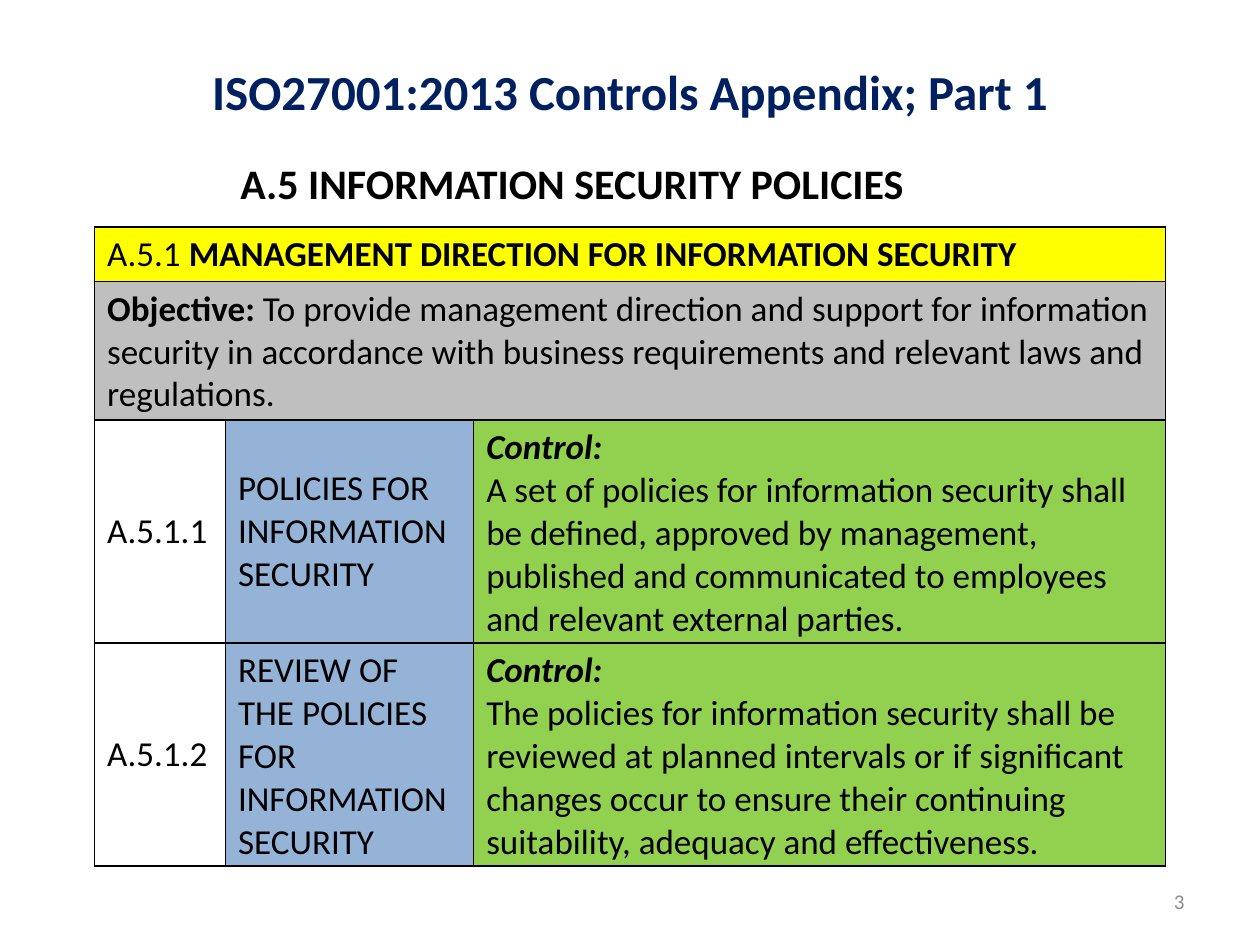
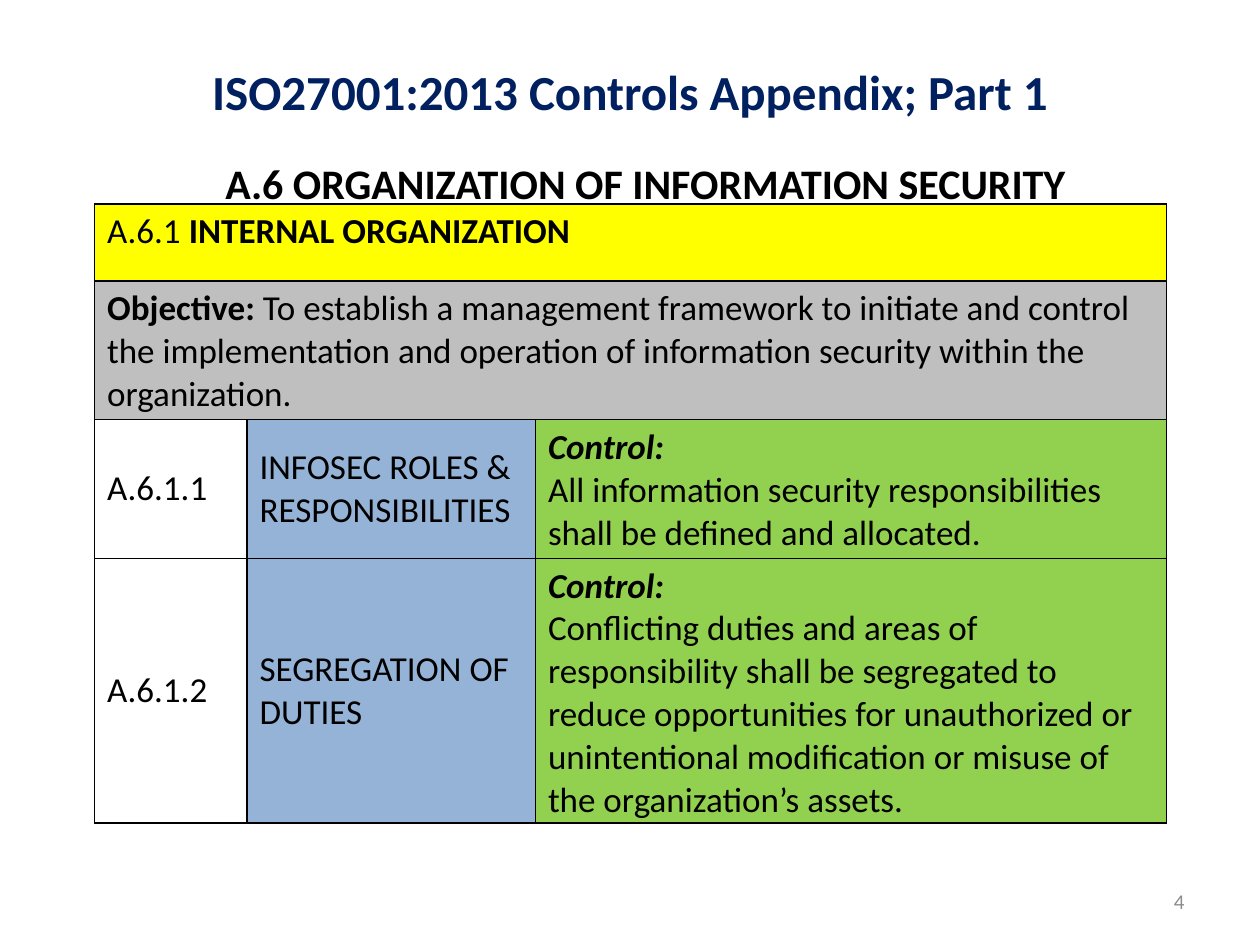
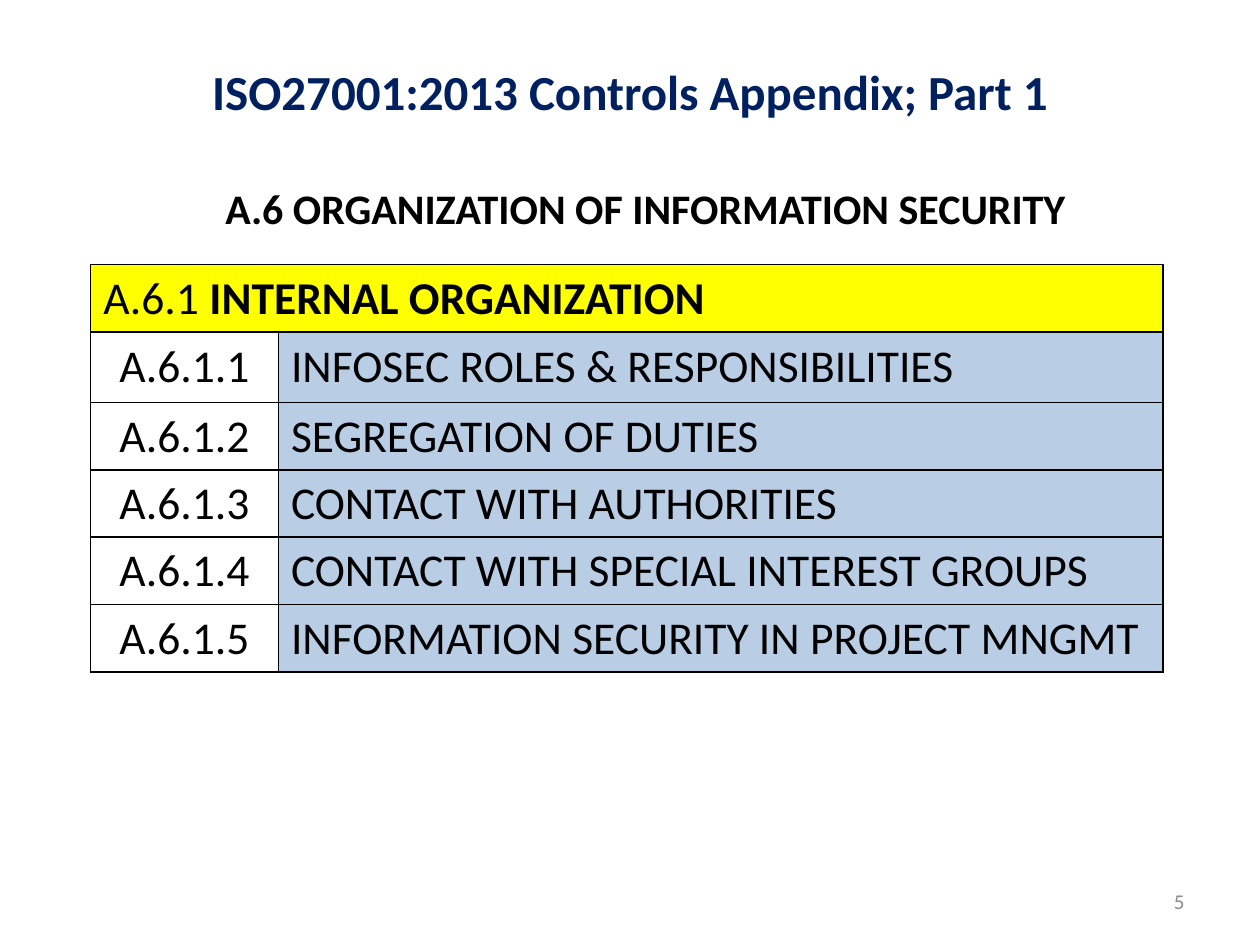
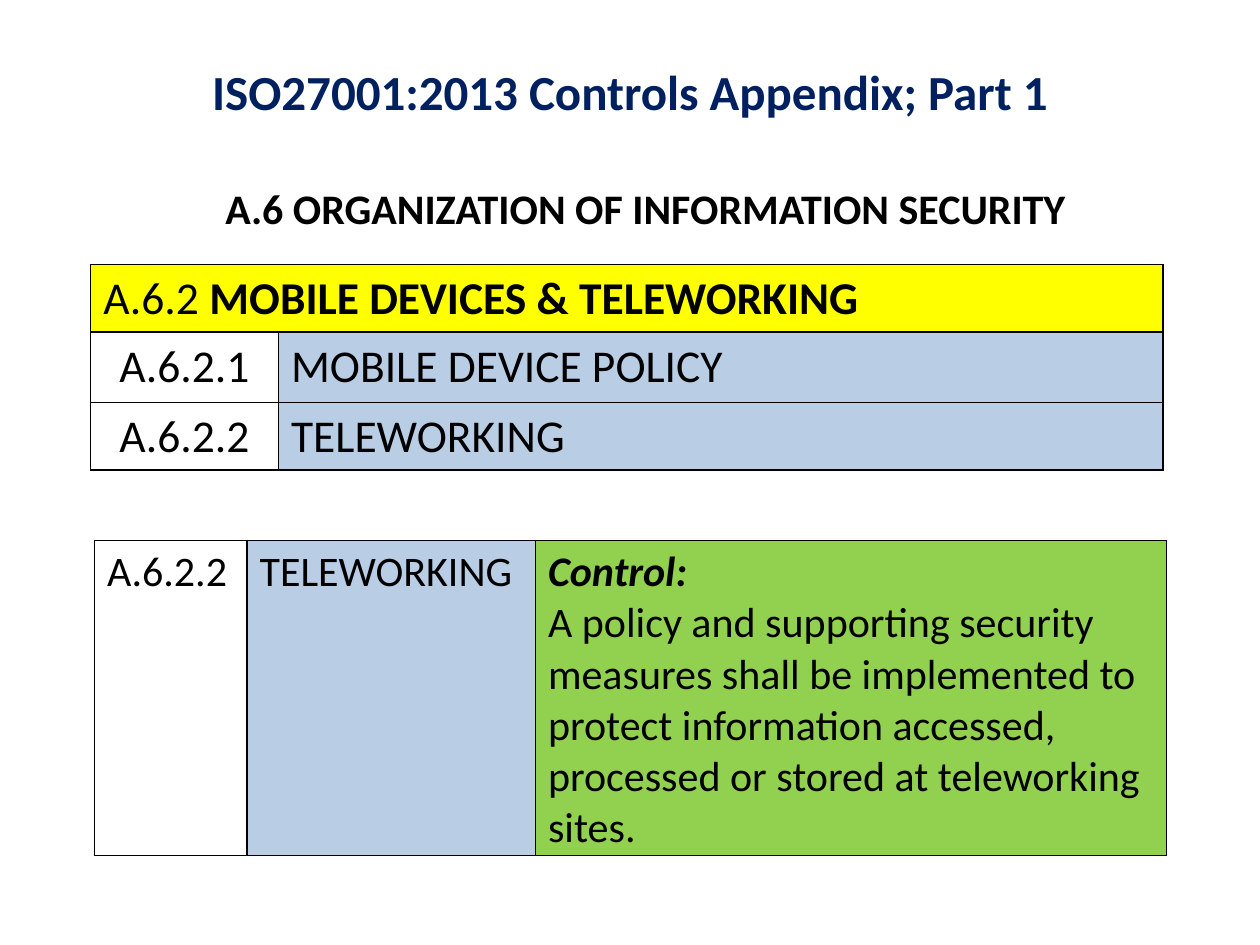
from dataclasses import dataclass
from typing import Optional

import pptx
import pptx.dml.color
import pptx.enum.text
import pptx.oxml
import pptx.oxml.ns
import pptx.util

RGBColor = pptx.dml.color.RGBColor
Align = pptx.enum.text.PP_ALIGN
Anchor = pptx.enum.text.MSO_ANCHOR

# Shared look
FONT = "Calibri"
NAVY = RGBColor(0x00, 0x20, 0x60)
BLACK = RGBColor(0x00, 0x00, 0x00)
PAGE_GRAY = RGBColor(0x8C, 0x8C, 0x8C)
YELLOW = RGBColor(0xFF, 0xFF, 0x00)
SILVER = RGBColor(0xBF, 0xBF, 0xBF)
BLUE = RGBColor(0x95, 0xB3, 0xD7)
PALE_BLUE = RGBColor(0xB9, 0xCD, 0xE5)
GREEN = RGBColor(0x92, 0xD0, 0x50)
BORDER_PT = 1
DECK_TITLE = "ISO27001:2013 Controls Appendix; Part 1"

# The slide is a grid of 100 columns by 75 rows of square units
WIDTH, HEIGHT = pptx.util.Inches(10), pptx.util.Inches(7.5)
UNIT = WIDTH / 100
TITLE_BOX = (5, 2.3, 90, 9.8)
PAGE_BOX = (71.7, 69.5, 23.3, 4)
CONTROL_COLS = (12.1, 22.9, 50.1)
INDEX_COLS = (14.9, 70.2)


@dataclass
class Span:
    text: str
    bold: bool = False
    italic: bool = False


@dataclass
class Cell:
    paragraphs: list[list[Span]]
    fill: Optional[RGBColor] = None
    align: Align = Align.LEFT
    anchor: Anchor = Anchor.MIDDLE


@dataclass
class Grid:
    """A table; a row of one cell spans all columns."""
    left: float
    top: float
    cols: tuple[float, ...]
    heights: list[float]
    rows: list[list[Cell]]
    size: int


@dataclass
class Page:
    section: str
    section_box: tuple[float, float, float, float]
    grids: list[Grid]
    number: Optional[int] = None


def units(*values: float) -> list[pptx.util.Emu]:
    return [pptx.util.Emu(round(v * UNIT)) for v in values]


def add_text(p, text: str, size: float, color: RGBColor = BLACK,
             bold: bool = False, italic: bool = False) -> None:
    r = p.add_run()
    r.text = text
    r.font.name, r.font.size = FONT, pptx.util.Pt(size)
    r.font.bold, r.font.italic = bold, italic
    r.font.color.rgb = color


# Kinds of table cell and row
def plain(text: str, **options) -> Cell:
    return Cell([[Span(text)]], **options)


def heading(number: str, name: str) -> list[Cell]:
    spans = [Span(f"{number} "), Span(name, bold=True)]
    return [Cell([spans], YELLOW, anchor=Anchor.TOP)]


def objective(text: str) -> list[Cell]:
    spans = [Span("Objective: ", bold=True), Span(text)]
    return [Cell([spans], SILVER, anchor=Anchor.TOP)]


def control(number: str, name: str, *texts: str, fill: RGBColor = BLUE,
            anchor: Anchor = Anchor.MIDDLE) -> list[Cell]:
    lines = [[Span("Control:", bold=True, italic=True)]]
    lines += [[Span(t)] for t in texts]
    return [plain(number, anchor=anchor), plain(name, fill=fill, anchor=anchor),
            Cell(lines, GREEN, anchor=anchor)]


def index_grid(number: str, name: str, items: list[str]) -> Grid:
    rows = [heading(number, name)]
    rows += [[plain(f"{number}.{i}", align=Align.CENTER), plain(item, fill=PALE_BLUE)]
             for i, item in enumerate(items, 1)]
    heights = [5.35, 5.6] + [5.35] * (len(items) - 1)
    return Grid(7.2, 21, INDEX_COLS, heights, rows, 26)


# Drawing
def set_borders(cell) -> None:
    tc_pr = cell._tc.get_or_add_tcPr()
    for i, side in enumerate(("lnL", "lnR", "lnT", "lnB")):
        tc_pr.insert(i, pptx.oxml.parse_xml(
            f'<a:{side} {pptx.oxml.ns.nsdecls("a")} w="{pptx.util.Pt(BORDER_PT)}">'
            f'<a:solidFill><a:srgbClr val="{BLACK}"/></a:solidFill></a:{side}>'))


def fill_cell(cell, content: Cell, size: int) -> None:
    cell.vertical_anchor = content.anchor
    if content.fill is not None:
        cell.fill.solid()
        cell.fill.fore_color.rgb = content.fill
    else:
        cell.fill.background()
    tf = cell.text_frame
    for i, spans in enumerate(content.paragraphs):
        p = tf.add_paragraph() if i else tf.paragraphs[0]
        p.alignment = content.align
        for span in spans:
            add_text(p, span.text, size, bold=span.bold, italic=span.italic)


def add_grid(s, grid: Grid) -> None:
    box = units(grid.left, grid.top, sum(grid.cols), sum(grid.heights))
    table = s.shapes.add_table(len(grid.rows), len(grid.cols), *box).table
    table.first_row = table.horz_banding = False
    for column, width in zip(table.columns, units(*grid.cols)):
        column.width = width
    for row, height in zip(table.rows, units(*grid.heights)):
        row.height = height
    for r, contents in enumerate(grid.rows):
        if len(contents) == 1:
            table.cell(r, 0).merge(table.cell(r, len(grid.cols) - 1))
        for c, content in enumerate(contents):
            fill_cell(table.cell(r, c), content, grid.size)
    for cell in table.iter_cells():
        set_borders(cell)


def add_title(s) -> None:
    sp = s.shapes.title
    sp.left, sp.top, sp.width, sp.height = units(*TITLE_BOX)
    sp.text_frame.vertical_anchor = Anchor.MIDDLE
    p = sp.text_frame.paragraphs[0]
    p.alignment = Align.CENTER
    add_text(p, DECK_TITLE, 28, NAVY, bold=True)


def add_section(s, page: Page) -> None:
    tf = s.shapes.add_textbox(*units(*page.section_box)).text_frame
    tf.word_wrap = False
    tf.auto_size = pptx.enum.text.MSO_AUTO_SIZE.SHAPE_TO_FIT_TEXT
    add_text(tf.paragraphs[0], page.section, 24, bold=True)


def add_page_number(s, number: int) -> None:
    tf = s.shapes.add_textbox(*units(*PAGE_BOX)).text_frame
    tf.word_wrap = True
    tf.vertical_anchor = Anchor.MIDDLE
    p = tf.paragraphs[0]
    p.alignment = Align.RIGHT
    add_text(p, str(number), 12, PAGE_GRAY)


# Content
A5 = "A.5 INFORMATION SECURITY POLICIES"
A6 = "A.6 ORGANIZATION OF INFORMATION SECURITY"
A6_BOX = (16.9, 14, 69.3, 5)

PAGES = [
    Page(A5, (18.1, 12, 55.1, 5), [
        Grid(7.5, 18, (10.4, 19.7, 54.9), [4.3, 11, 17.7, 17.7], [
            heading("A.5.1", "MANAGEMENT DIRECTION FOR INFORMATION SECURITY"),
            objective("To provide management direction and support for information "
                      "security in accordance with business requirements and "
                      "relevant laws and regulations."),
            control("A.5.1.1", "POLICIES FOR INFORMATION SECURITY",
                    "A set of policies for information security shall be defined, "
                    "approved by management, published and communicated to "
                    "employees and relevant external parties."),
            control("A.5.1.2", "REVIEW OF THE POLICIES FOR INFORMATION SECURITY",
                    "The policies for information security shall be reviewed at "
                    "planned intervals or if significant changes occur to ensure "
                    "their continuing",
                    "suitability, adequacy and effectiveness."),
        ], 20)], 3),
    Page(A6, (16.9, 12, 69.3, 5), [
        Grid(7.5, 16.2, CONTROL_COLS, [6.1, 11, 11, 21], [
            heading("A.6.1", "INTERNAL ORGANIZATION"),
            objective("To establish a management framework to initiate and control "
                      "the implementation and operation of information security "
                      "within the organization."),
            control("A.6.1.1", "INFOSEC ROLES & RESPONSIBILITIES",
                    "All information security responsibilities shall be defined "
                    "and allocated."),
            control("A.6.1.2", "SEGREGATION OF DUTIES",
                    "Conflicting duties and areas of responsibility shall be "
                    "segregated to reduce opportunities for unauthorized or "
                    "unintentional modification or misuse of the organization’s "
                    "assets."),
        ], 20)], 4),
    Page(A6, A6_BOX, [
        index_grid("A.6.1", "INTERNAL ORGANIZATION", [
            "INFOSEC ROLES & RESPONSIBILITIES",
            "SEGREGATION OF DUTIES",
            "CONTACT WITH AUTHORITIES",
            "CONTACT WITH SPECIAL INTEREST GROUPS",
            "INFORMATION SECURITY IN PROJECT MNGMT",
        ])], 5),
    Page(A6, A6_BOX, [
        index_grid("A.6.2", "MOBILE DEVICES & TELEWORKING",
                   ["MOBILE DEVICE POLICY", "TELEWORKING"]),
        Grid(7.5, 42.9, CONTROL_COLS, [25], [
            control("A.6.2.2", "TELEWORKING",
                    "A policy and supporting security measures shall be implemented "
                    "to protect information accessed, processed or stored at "
                    "teleworking sites.", fill=PALE_BLUE, anchor=Anchor.TOP),
        ], 24)]),
]


def main() -> None:
    prs = pptx.Presentation()
    prs.slide_width, prs.slide_height = WIDTH, HEIGHT
    title_only = prs.slide_layouts[5]
    for page in PAGES:
        s = prs.slides.add_slide(title_only)
        if page.number is not None:
            add_page_number(s, page.number)
        add_title(s)
        add_section(s, page)
        for grid in page.grids:
            add_grid(s, grid)
    prs.save("out.pptx")


if __name__ == "__main__":
    main()
